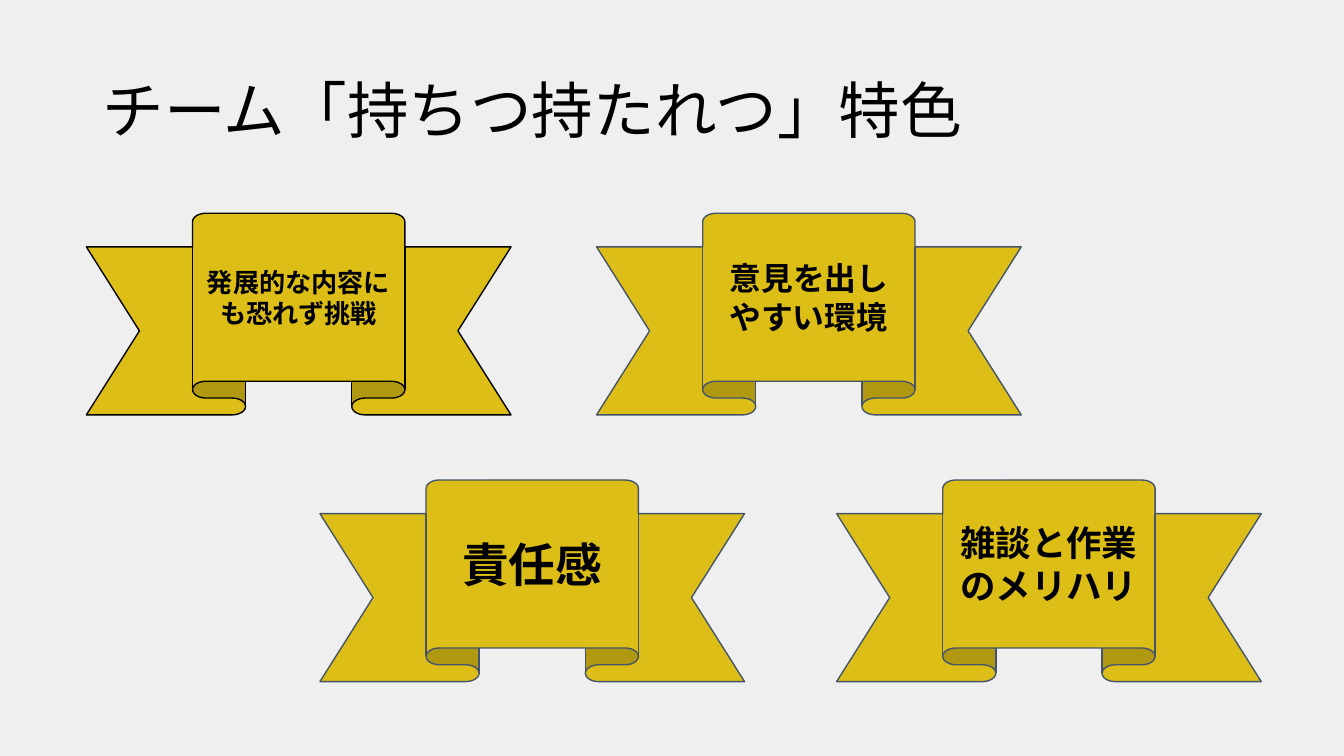
from dataclasses import dataclass

import lxml.etree
import pptx
import pptx.dml.color
import pptx.enum.shapes
import pptx.enum.text
import pptx.oxml.ns
import pptx.slide
import pptx.text.text
import pptx.util

Pt = pptx.util.Pt

COLORS = {
    "background": "EFEFEF",
    "gold": "DDBE16",
    "black": "000000",
    "slate": "44546A",
}
TITLE_FONT = "Arial"
RIBBON_FONT = "Noto Sans CJK JP"
RIBBON_WIDTH, RIBBON_HEIGHT = 227.5, 108
UPPER_ROW, LOWER_ROW = 114.3, 257.2


@dataclass
class Ribbon:
    text: str
    left: float
    top: float
    size: float
    line: str = "slate"


RIBBONS = [
    Ribbon("発展的な内容にも恐れず挑戦", 46.3, UPPER_ROW, 14, "black"),
    Ribbon("責任感", 171.4, LOWER_ROW, 25),
    Ribbon("意見を出しやすい環境", 319.6, UPPER_ROW, 17),
    Ribbon("雑談と作業のメリハリ", 448.2, LOWER_ROW, 19),
]


def rgb(name: str) -> pptx.dml.color.RGBColor:
    return pptx.dml.color.RGBColor.from_string(COLORS[name])


def set_frame(tf: pptx.text.text.TextFrame, side: float, edge: float) -> None:
    tf.word_wrap = True
    tf.auto_size = pptx.enum.text.MSO_AUTO_SIZE.NONE
    tf.vertical_anchor = pptx.enum.text.MSO_ANCHOR.MIDDLE
    tf.margin_left = tf.margin_right = Pt(side)
    tf.margin_top = tf.margin_bottom = Pt(edge)


def add_run(p: pptx.text.text._Paragraph, text: str, size: float,
            font: str, bold: bool = False) -> None:
    r = p.add_run()
    r.text = text
    r.font.size = Pt(size)
    r.font.bold = bold
    r.font.color.rgb = rgb("black")
    r.font.name = font
    ea = lxml.etree.SubElement(r._r.get_or_add_rPr(), pptx.oxml.ns.qn("a:ea"))
    ea.set("typeface", font)


def add_title(s: pptx.slide.Slide, text: str) -> None:
    sp = s.shapes.title
    sp.left, sp.top, sp.width, sp.height = Pt(49.5), Pt(21.6), Pt(621), Pt(78.3)
    set_frame(sp.text_frame, 5.4, 2.7)
    p = sp.text_frame.paragraphs[0]
    p.alignment = pptx.enum.text.PP_ALIGN.LEFT
    p.line_spacing = 0.9
    add_run(p, text, 33, TITLE_FONT)


def add_ribbon(s: pptx.slide.Slide, ribbon: Ribbon) -> None:
    sp = s.shapes.add_shape(
        pptx.enum.shapes.MSO_SHAPE.UP_RIBBON,
        Pt(ribbon.left), Pt(ribbon.top), Pt(RIBBON_WIDTH), Pt(RIBBON_HEIGHT))
    sp.adjustments[0] = 0.16667
    sp.adjustments[1] = 0.5
    sp.shadow.inherit = False
    sp.fill.solid()
    sp.fill.fore_color.rgb = rgb("gold")
    sp.line.color.rgb = rgb(ribbon.line)
    sp.line.width = Pt(0.75)
    set_frame(sp.text_frame, 7.2, 7.2)
    p = sp.text_frame.paragraphs[0]
    p.alignment = pptx.enum.text.PP_ALIGN.CENTER
    add_run(p, ribbon.text, ribbon.size, RIBBON_FONT, bold=True)


def main() -> None:
    prs = pptx.Presentation()
    prs.slide_width, prs.slide_height = Pt(720), Pt(405)
    s = prs.slides.add_slide(prs.slide_layouts.get_by_name("Title Only"))
    s.background.fill.solid()
    s.background.fill.fore_color.rgb = rgb("background")
    add_title(s, "チーム「持ちつ持たれつ」特色")
    for ribbon in RIBBONS:
        add_ribbon(s, ribbon)
    prs.save("out.pptx")


if __name__ == "__main__":
    main()
